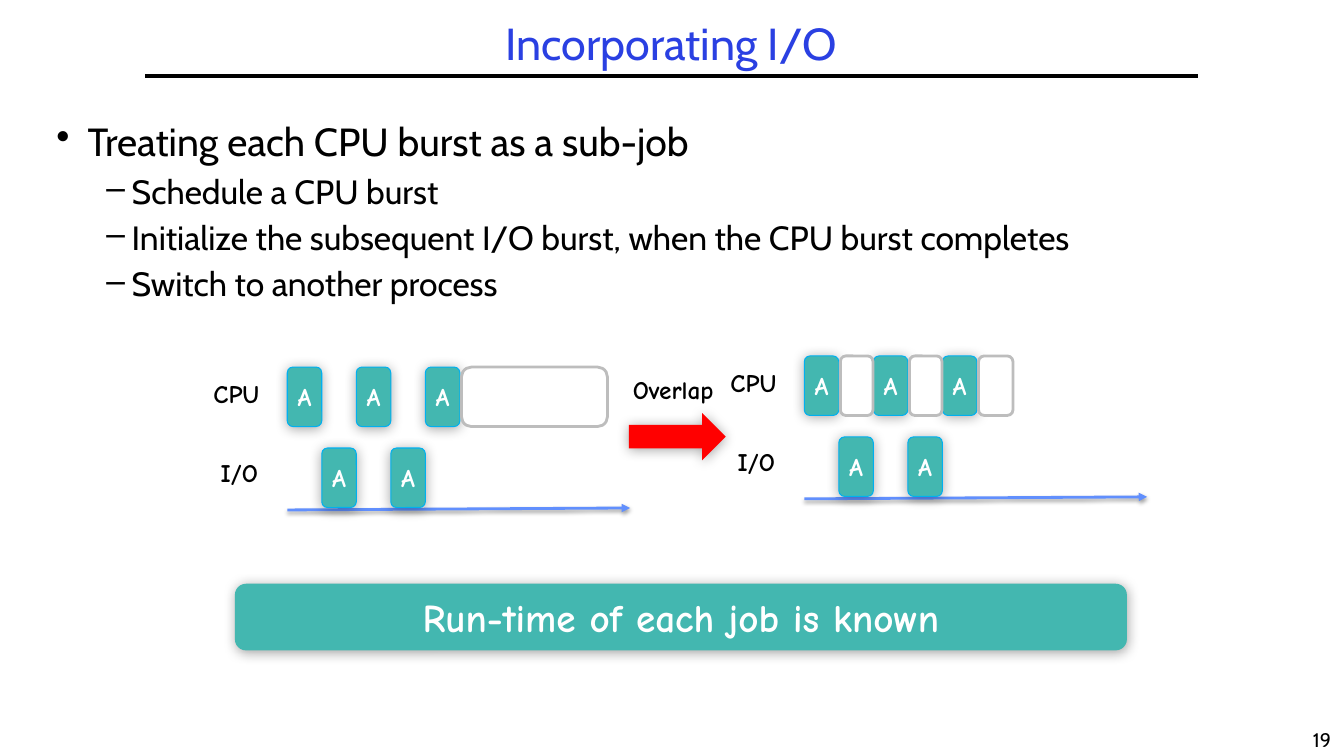
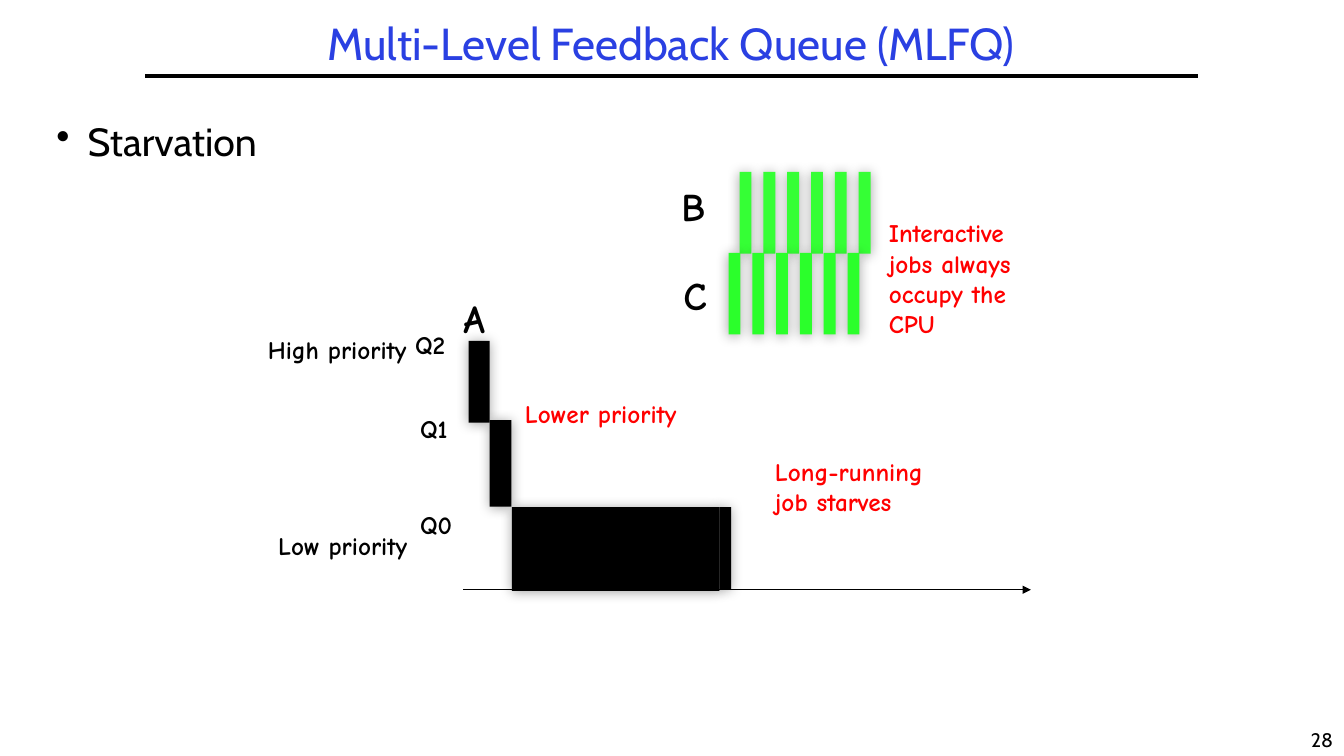
"""Build two lecture slides on CPU scheduling."""
from pptx import Presentation
from pptx.dml.color import RGBColor
from pptx.enum import shapes, text
from pptx.oxml import parse_xml
from pptx.oxml.ns import nsdecls
from pptx.util import Cm, Pt

COLOURS = {
    "title": "2A40E2", "ink": "000000", "paper": "FFFFFF", "job": "43B7B0",
    "job edge": "00B0F0", "idle edge": "BDBDBD", "axis": "618FFD",
    "alert": "FF0000", "bright green": "35FF35", "green": "2BFF2B",
}
HEAD_FONT, NOTE_FONT = "Cabin", "Comic Neue"
RECT = shapes.MSO_SHAPE.RECTANGLE
ROUNDED = shapes.MSO_SHAPE.ROUNDED_RECTANGLE
ARROW = shapes.MSO_SHAPE.RIGHT_ARROW
CENTER = text.PP_ALIGN.CENTER
LINE_HEIGHT = {18: 1.02, 28: 1.45}

LEVELS = [
    {"mark": "•", "size": 28, "margin": 0.79, "hang": 0.79},
    {"mark": "–", "size": 24, "margin": 1.9, "hang": 0.64},
]

IO_SLIDE = {
    "title": "Incorporating I/O",
    "number": "19",
    "bullets": [
        (0, "Treating each CPU burst as a sub-job"),
        (1, "Schedule a CPU burst"),
        (1, "Initialize the subsequent I/O burst, when the CPU burst completes"),
        (1, "Switch to another process"),
    ],
}
SLOT, BURST_HEIGHT, IO_DROP = 0.87, 1.5, 2.04
CPU_SLOTS, IO_SLOTS = (0, 2, 4), (1, 3)
TIMELINES = [
    {"left": 7.24, "top": 9.25, "others": [(5, 3.68)]},
    {"left": 20.27, "top": 8.97, "others": [(1, 0.82), (3, 0.82), (5, 0.87)]},
]
TIMELINE_LABELS = [("CPU", -2.11, 0.16, 1.73), ("I/O", -1.93, 2.16, 1.7)]

MLFQ_SLIDE = {
    "title": "Multi-Level Feedback Queue (MLFQ)",
    "number": "28",
    "bullets": [(0, "Starvation")],
}
MLFQ_LABELS = [
    ("High priority", 6.5, 8.31, 4.47, 18, "ink"),
    ("Low priority", 6.76, 13.23, 4.24, 18, "ink"),
    ("Lower priority", 12.98, 9.91, 4.9, 18, "alert"),
    ("Q2", 10.21, 8.18, 1.47, 18, "ink"),
    ("Q1", 10.34, 10.29, 1.47, 18, "ink"),
    ("Q0", 10.34, 12.7, 1.47, 18, "ink"),
    ("A", 11.43, 7.29, 1.24, 28, "ink"),
    ("B", 16.92, 4.47, 1.14, 28, "ink"),
    ("C", 16.97, 6.71, 1.14, 28, "ink"),
]
MLFQ_REMARKS = [
    ("Interactive jobs always occupy the CPU", 22.15, 5.36, 4.7, 3.33),
    ("Long-running job starves", 19.28, 11.38, 4.7, 1.8),
]
LONG_JOB = [
    (11.81, 8.59, 0.53, 2.06),
    (12.34, 10.59, 0.55, 2.18),
    (12.9, 12.78, 5.23, 2.11),
    (18.13, 12.78, 0.3, 2.06),
]
INTERACTIVE_JOBS = [("bright green", 18.64, 4.33), ("green", 18.36, 6.37)]
BURSTS, BURST_PITCH = 6, 0.6


def colour(name):
    return RGBColor.from_string(COLOURS[name])


def add_run(para, words, size, ink, font, bold=False):
    span = para.add_run()
    span.text = words
    span.font.size = Pt(size)
    span.font.name = font
    span.font.bold = bold
    span.font.color.rgb = colour(ink)


def add_text_box(page, left, top, width, height, wrap=False):
    box = page.shapes.add_textbox(Cm(left), Cm(top), Cm(width), Cm(height))
    box.text_frame.word_wrap = wrap
    return box.text_frame


def add_label(page, words, left, top, width, size=18, ink="ink"):
    frame = add_text_box(page, left, top, width, LINE_HEIGHT[size])
    add_run(frame.paragraphs[0], words, size, ink, NOTE_FONT, True)


def shadow_effects(alpha, blur, distance):
    return parse_xml(
        f'<a:effectLst {nsdecls("a")}><a:outerShdw blurRad="{Pt(blur)}" '
        f'dist="{Pt(distance)}" dir="5400000" rotWithShape="0">'
        f'<a:srgbClr val="{COLOURS["ink"]}"><a:alpha val="{alpha * 1000}"/>'
        '</a:srgbClr></a:outerShdw></a:effectLst>')


def add_block(page, kind, left, top, width, height, fill, edge=None, weight=0.75,
              shadow=True, words="", size=18):
    block = page.shapes.add_shape(kind, Cm(left), Cm(top), Cm(width), Cm(height))
    block.fill.solid()
    block.fill.fore_color.rgb = colour(fill)
    if edge:
        block.line.color.rgb = colour(edge)
        block.line.width = Pt(weight)
    else:
        block.line.fill.background()
    block.shadow.inherit = False
    if shadow:
        effects = block.element.spPr.find("{*}effectLst")
        effects.append(shadow_effects(35, 9, 1)[0])
    if words:
        frame = block.text_frame
        frame.word_wrap = False
        frame.vertical_anchor = text.MSO_ANCHOR.MIDDLE
        frame.paragraphs[0].alignment = CENTER
        add_run(frame.paragraphs[0], words, size, "paper", NOTE_FONT, True)


def add_line(page, start, end, ink, weight, arrow=False, shadow=False):
    line = page.shapes.add_connector(
        shapes.MSO_CONNECTOR.STRAIGHT, *(Cm(value) for value in (*start, *end)))
    line.line.color.rgb = colour(ink)
    line.line.width = Pt(weight)
    if arrow:
        line.line._get_or_add_ln().append(
            parse_xml(f'<a:tailEnd {nsdecls("a")} type="triangle"/>'))
    effects = shadow_effects(38, 3.1, 1.6)
    if not shadow:
        effects.remove(effects[0])
    line._element.spPr.append(effects)


def add_bullets(page, bullets):
    frame = add_text_box(page, 1.17, 2.97, 31.5, 15.21, True)
    for index, (depth, words) in enumerate(bullets):
        para = frame.add_paragraph() if index else frame.paragraphs[0]
        level = LEVELS[depth]
        para.level = depth
        properties = para._p.get_or_add_pPr()
        properties.set("marL", str(Cm(level["margin"])))
        properties.set("indent", str(-Cm(level["hang"])))
        properties.append(
            parse_xml(f'<a:buChar {nsdecls("a")} char="{level["mark"]}"/>'))
        para.line_spacing = 0.9
        if index:
            para.space_before = Pt(0.3 * level["size"])
        add_run(para, words, level["size"], "ink", HEAD_FONT)


def add_page(deck, content):
    page = deck.slides.add_slide(deck.slide_layouts[6])
    number = add_text_box(page, 32.77, 18.21, 1.09, 0.84).paragraphs[0]
    number.alignment = CENTER
    add_run(number, content["number"], 14, "ink", HEAD_FONT)
    add_line(page, (3.66, 1.91), (30.2, 1.91), "ink", 3)
    title = add_text_box(page, 1.17, 0.43, 31.5, 1.47, True).paragraphs[0]
    title.alignment = CENTER
    title.line_spacing = 0.9
    add_run(title, content["title"], 32, "title", HEAD_FONT)
    add_bullets(page, content["bullets"])
    return page


def add_timeline(page, left, top, others):
    add_line(page, (left, top + 3.6), (left + 8.64, top + 3.55), "axis", 2, True, True)
    for words, shift, drop, width in TIMELINE_LABELS:
        add_label(page, words, left + shift, top + drop, width)
    for slots, drop in ((CPU_SLOTS, 0), (IO_SLOTS, IO_DROP)):
        for slot in slots:
            add_block(page, ROUNDED, left + slot * SLOT, top + drop, SLOT,
                      BURST_HEIGHT, "job", "job edge", words="A")
    for slot, width in others:
        add_block(page, ROUNDED, left + slot * SLOT + 0.04, top, width,
                  BURST_HEIGHT, "paper", "idle edge", 2, False)


def build_io_slide(deck):
    page = add_page(deck, IO_SLIDE)
    for timeline in TIMELINES:
        add_timeline(page, **timeline)
    add_block(page, ARROW, 15.85, 10.41, 2.44, 1.19, "alert")
    add_label(page, "Overlap", 15.7, 9.32, 2.87)
    add_block(page, ROUNDED, 5.92, 14.71, 22.48, 1.68, "job",
              words="Run-time of each job is known", size=28)


def build_mlfq_slide(deck):
    page = add_page(deck, MLFQ_SLIDE)
    for label in MLFQ_LABELS:
        add_label(page, *label)
    add_line(page, (11.68, 14.86), (25.98, 14.86), "ink", 0.75, True)
    for run_period in LONG_JOB:
        add_block(page, RECT, *run_period, "ink")
    for fill, left, top in INTERACTIVE_JOBS:
        for burst in range(BURSTS):
            add_block(page, RECT, left + burst * BURST_PITCH, top,
                      BURST_PITCH / 2, 2.06, fill)
    for words, *place in MLFQ_REMARKS:
        frame = add_text_box(page, *place, True)
        add_run(frame.paragraphs[0], words, 18, "alert", NOTE_FONT, True)


def main():
    deck = Presentation()
    deck.slide_width, deck.slide_height = Cm(33.87), Cm(19.05)
    build_io_slide(deck)
    build_mlfq_slide(deck)
    deck.save("out.pptx")


if __name__ == "__main__":
    main()
